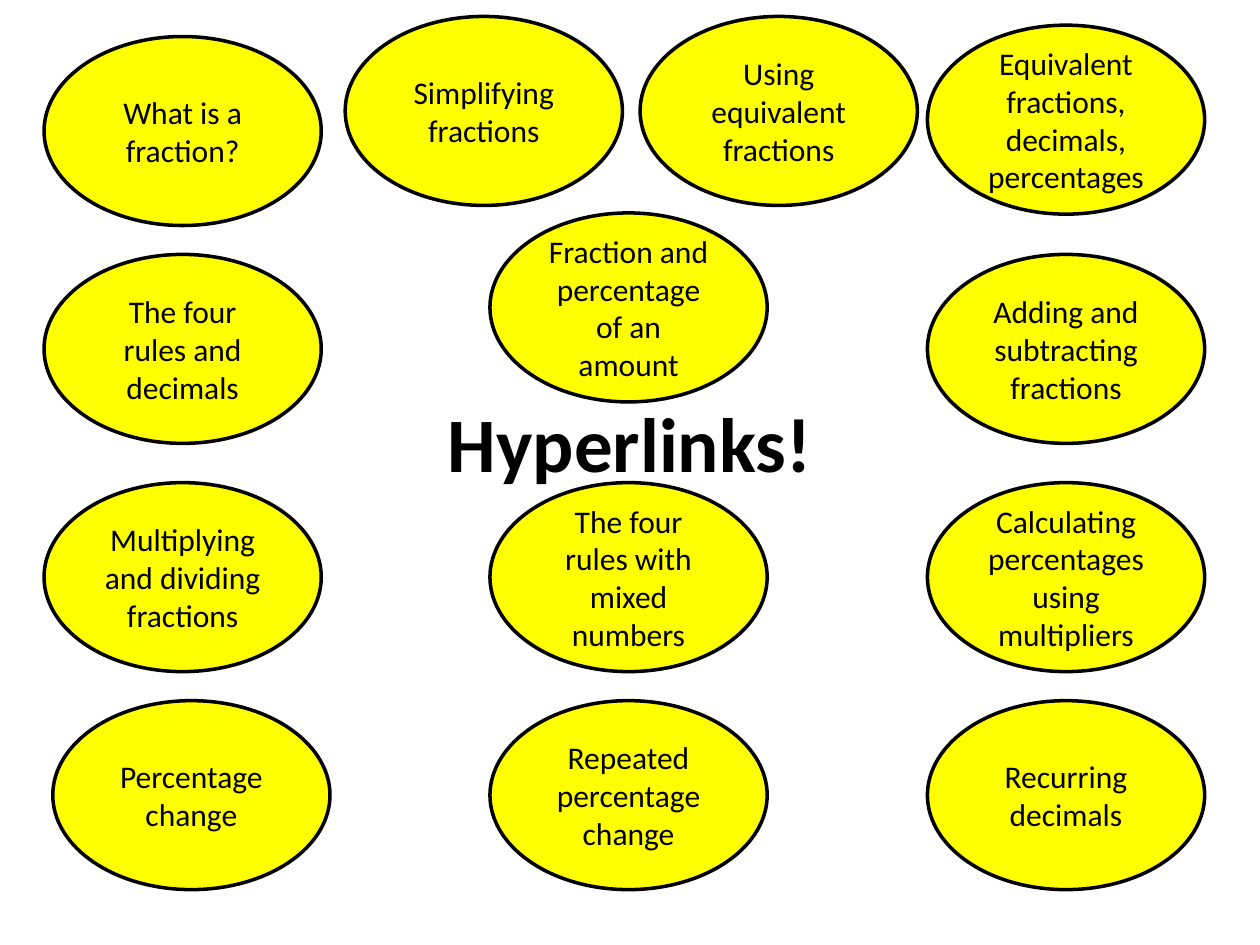
from pptx import Presentation
from pptx.dml.color import RGBColor
from pptx.enum.shapes import MSO_SHAPE
from pptx.enum.text import MSO_ANCHOR, PP_ALIGN
from pptx.util import Pt

OVAL = MSO_SHAPE.OVAL
MIDDLE = MSO_ANCHOR.MIDDLE
CENTER = PP_ALIGN.CENTER
TITLE_ONLY = 5

FONT = "Calibri"
COLORS = {"background": "FFFFFF", "bubble": "FFFF00", "ink": "000000"}
BUBBLE_WIDTH, BUBBLE_HEIGHT = 158.4, 108
LEFT, MIDDLE_COLUMN, RIGHT = 25.2, 280, 530
ROW_2, ROW_3, ROW_4 = 145.4, 275.8, 400.4

# Topic, left, top
TOPICS = [
    ("What is a fraction?", LEFT, 20.9),
    ("Simplifying fractions", 197.3, 9.4),
    ("Using equivalent fractions", 365.8, 9.4),
    ("The four rules and decimals", LEFT, ROW_2),
    ("Fraction and percentage of an amount", MIDDLE_COLUMN, 121.7),
    ("Equivalent fractions, decimals, percentages", RIGHT, 14.4),
    ("Adding and subtracting fractions", RIGHT, ROW_2),
    ("Calculating percentages using multipliers", RIGHT, ROW_3),
    ("The four rules with mixed numbers", MIDDLE_COLUMN, ROW_3),
    ("Multiplying and dividing fractions", LEFT, ROW_3),
    ("Percentage change", 30.2, ROW_4),
    ("Repeated percentage change", MIDDLE_COLUMN, ROW_4),
    ("Recurring decimals", RIGHT, ROW_4),
]


def color(name):
    return RGBColor.from_string(COLORS[name])


def set_text(shape, text, size, bold=False):
    """Write one centred paragraph in the middle of a shape."""
    text_frame = shape.text_frame
    text_frame.text = text
    text_frame.word_wrap = True
    text_frame.vertical_anchor = MIDDLE
    paragraph = text_frame.paragraphs[0]
    paragraph.alignment = CENTER
    font = paragraph.runs[0].font
    font.name = FONT
    font.size = Pt(size)
    font.bold = bold
    font.color.rgb = color("ink")


def set_title(slide, text):
    title = slide.shapes.title
    title.left, title.top = Pt(36), Pt(207.4)
    title.width, title.height = Pt(648), Pt(90)
    set_text(title, text, 44, bold=True)


def add_bubble(slide, text, left, top):
    bubble = slide.shapes.add_shape(
        OVAL, Pt(left), Pt(top), Pt(BUBBLE_WIDTH), Pt(BUBBLE_HEIGHT))
    bubble.shadow.inherit = False
    bubble.fill.solid()
    bubble.fill.fore_color.rgb = color("bubble")
    bubble.line.color.rgb = color("ink")
    bubble.line.width = Pt(2)
    set_text(bubble, text, 18)


def main():
    presentation = Presentation()
    presentation.slide_width = Pt(720)
    presentation.slide_height = Pt(540)
    slide = presentation.slides.add_slide(presentation.slide_layouts[TITLE_ONLY])
    slide.background.fill.solid()
    slide.background.fill.fore_color.rgb = color("background")
    set_title(slide, "Hyperlinks!")
    for text, left, top in TOPICS:
        add_bubble(slide, text, left, top)
    presentation.save("out.pptx")


if __name__ == "__main__":
    main()
